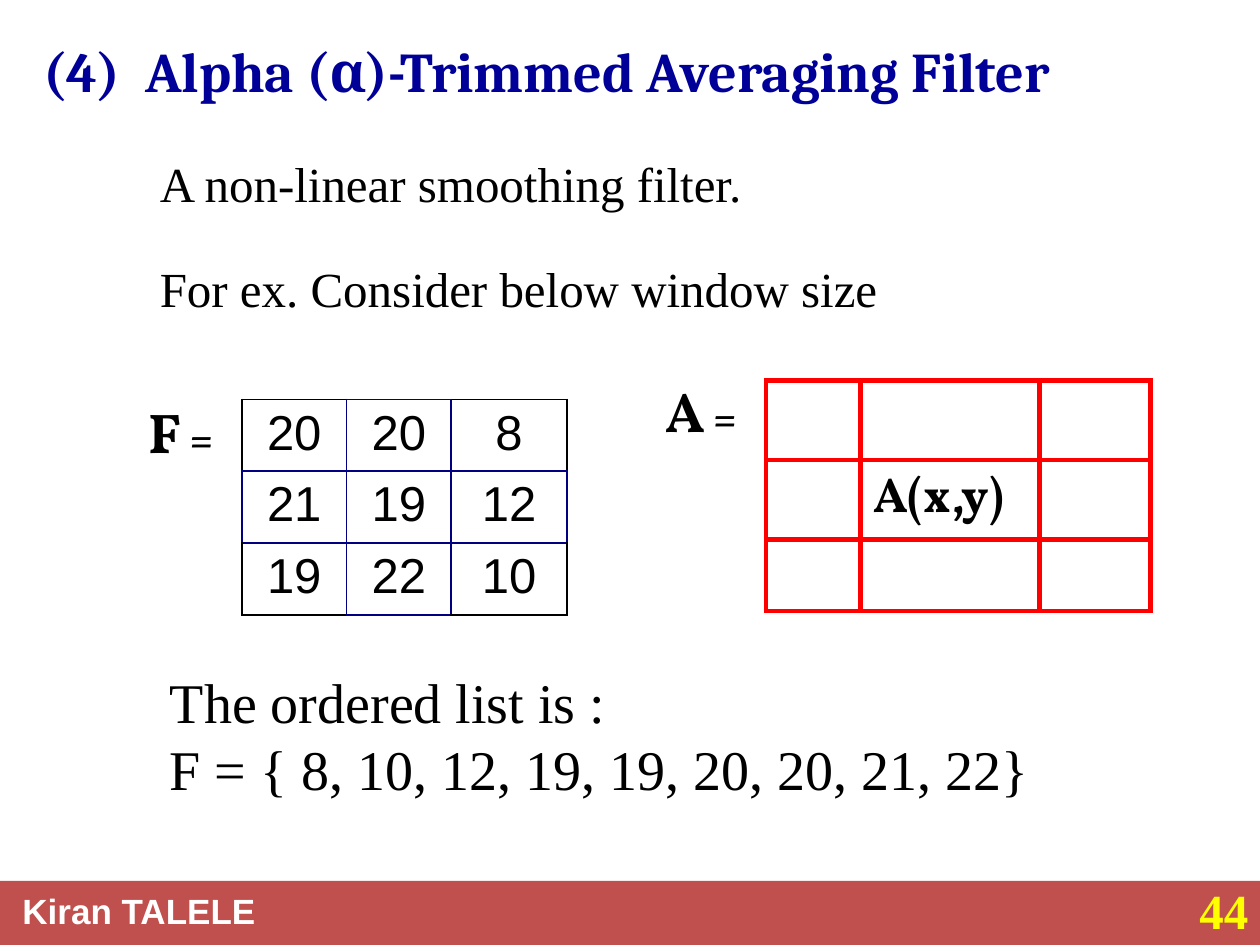
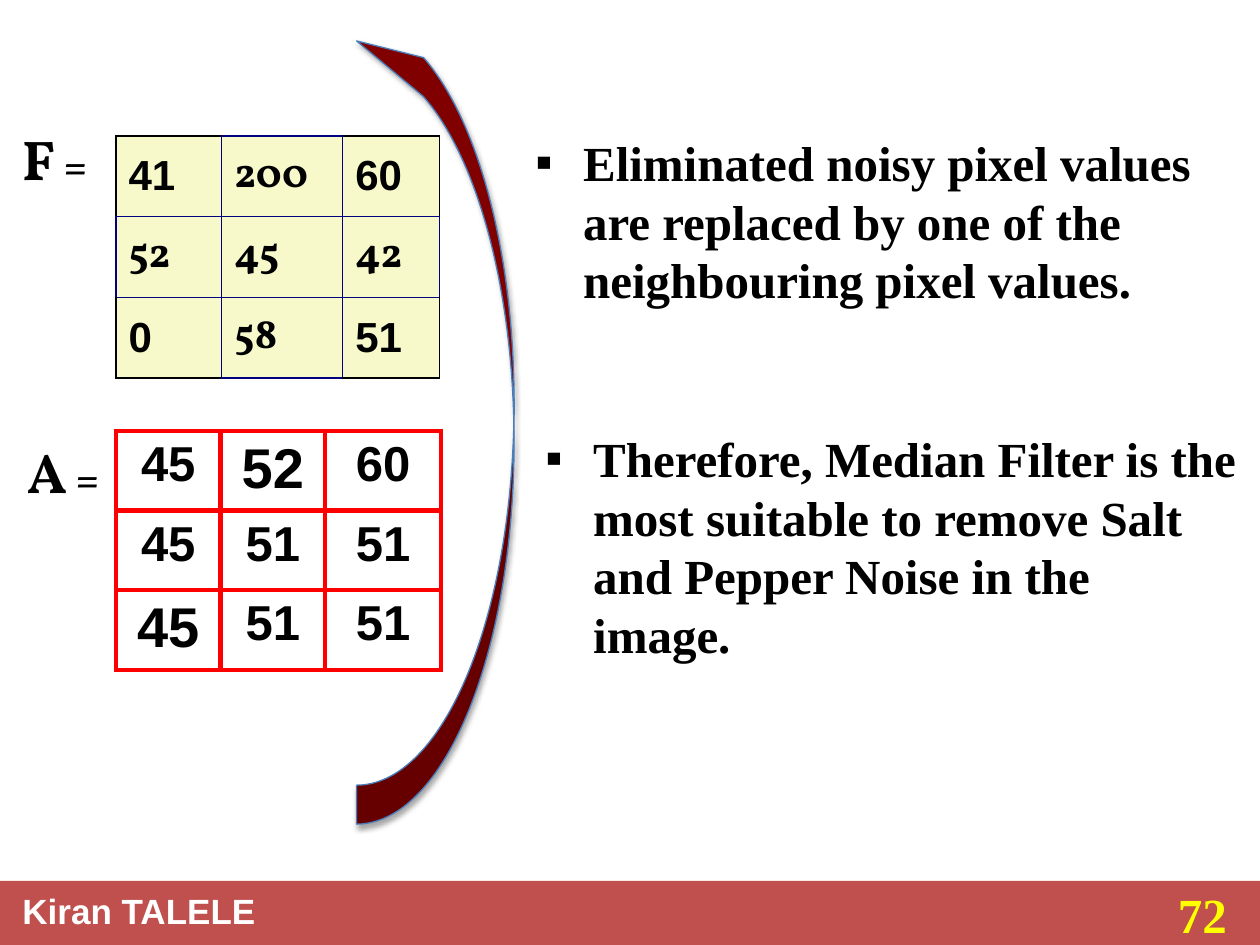
from dataclasses import dataclass
from typing import Optional

from lxml.etree import SubElement
from pptx import Presentation
from pptx.dml.color import RGBColor
from pptx.enum.shapes import MSO_SHAPE
from pptx.enum.text import MSO_ANCHOR, PP_ALIGN
from pptx.oxml.ns import qn
from pptx.util import Inches, Pt


@dataclass(frozen=True)
class Theme:
    black: str = "000000"
    white: str = "FFFFFF"
    band: str = "C0504D"
    page: str = "FFFF00"
    title: str = "000099"
    navy: str = "000080"
    red: str = "FF0000"
    cream: str = "F7F9CB"
    maroon: str = "800000"
    outline: str = "4A7DBA"
    sans: str = "Arial"
    serif: str = "Times New Roman"
    heading: str = "Cambria"
    symbol: str = "Vollkorn"
    large: int = 32
    body: int = 28
    small: int = 24
    footer: int = 20


THEME = Theme()


@dataclass(frozen=True)
class Style:
    face: str = THEME.serif
    size: int = THEME.body
    color: str = THEME.black
    bold: bool = False


@dataclass(frozen=True)
class Box:
    left: float
    top: float
    width: float
    height: float

    def emu(self) -> tuple:
        return tuple(Inches(v) for v in (self.left, self.top, self.width, self.height))


@dataclass(frozen=True)
class Matrix:
    left: float
    top: float
    columns: tuple
    rows: tuple
    values: tuple
    style: Style
    border: str
    border_width: int
    corner_border: Optional[str] = None
    corner_face: Optional[str] = None
    fill: Optional[str] = None
    align: PP_ALIGN = PP_ALIGN.LEFT
    anchor: MSO_ANCHOR = MSO_ANCHOR.TOP
    enlarged: tuple = ()


BODY = Style()
BOLD_BODY = Style(bold=True)
STATEMENT = Style(size=THEME.large)
TITLE = Style(THEME.heading, THEME.large, THEME.title, True)
AUTHOR = Style(THEME.sans, THEME.footer, THEME.white, True)
PAGE = Style(THEME.serif, THEME.body, THEME.page, True)
SYMBOL = Style(THEME.symbol, THEME.large, bold=True)


def rgb(value: str) -> RGBColor:
    return RGBColor.from_string(value)


def apply_style(font, style: Style) -> None:
    font.name = style.face
    font.size = Pt(style.size)
    font.bold = style.bold
    font.color.rgb = rgb(style.color)


def add_bullet(paragraph) -> None:
    properties = paragraph._p.get_or_add_pPr()
    properties.set("marL", str(Inches(0.38)))
    properties.set("indent", str(-Inches(0.38)))
    color = SubElement(properties, qn("a:buClr"))
    SubElement(color, qn("a:srgbClr"), val=THEME.black)
    SubElement(properties, qn("a:buFont"), typeface=THEME.sans)
    SubElement(properties, qn("a:buChar"), char="▪")


def add_text(slide, box: Box, lines: tuple, style: Style,
             bullet: bool = False, anchor: MSO_ANCHOR = MSO_ANCHOR.TOP):
    frame = slide.shapes.add_textbox(*box.emu()).text_frame
    frame.word_wrap = True
    frame.vertical_anchor = anchor
    for index, line in enumerate(lines):
        paragraph = frame.add_paragraph() if index else frame.paragraphs[0]
        paragraph.text = line
        if bullet:
            add_bullet(paragraph)
        apply_style(paragraph.font, style)
    return frame


def add_symbol(slide, letter: str, left: float, top: float) -> None:
    frame = add_text(slide, Box(left, top, 0.87, 0.64), (letter,), SYMBOL)
    equals = frame.paragraphs[0].add_run()
    equals.text = " ="
    equals.font.size = Pt(THEME.small)


def add_footer(slide, page: str, left: float, top: float) -> None:
    band = slide.shapes.add_shape(MSO_SHAPE.RECTANGLE, *Box(0, 6.99, 10, 0.51).emu())
    band.shadow.inherit = False
    band.fill.solid()
    band.fill.fore_color.rgb = rgb(THEME.band)
    band.line.fill.background()
    add_text(slide, Box(0.08, 7.01, 2.1, 0.44), ("Kiran TALELE",), AUTHOR)
    add_text(slide, Box(left, top, 0.92, 0.61), (page,), PAGE)


def set_borders(cell, colors: dict, width: int) -> None:
    properties = cell._tc.get_or_add_tcPr()
    for side, color in colors.items():
        line = SubElement(properties, qn(f"a:ln{side}"), w=str(Pt(width)))
        solid = SubElement(line, qn("a:solidFill"))
        SubElement(solid, qn("a:srgbClr"), val=color)


def add_matrix(slide, matrix: Matrix) -> None:
    box = Box(matrix.left, matrix.top, sum(matrix.columns), sum(matrix.rows))
    last_row, last_column = len(matrix.rows) - 1, len(matrix.columns) - 1
    table = slide.shapes.add_table(last_row + 1, last_column + 1, *box.emu()).table
    table.first_row = table.horz_banding = False
    for column, width in zip(table.columns, matrix.columns):
        column.width = Inches(width)
    for row, height in zip(table.rows, matrix.rows):
        row.height = Inches(height)
    for r, values in enumerate(matrix.values):
        for c, value in enumerate(values):
            cell = table.cell(r, c)
            corner = r in (0, last_row) and c in (0, last_column)
            outer = {"L": c == 0, "R": c == last_column, "T": r == 0, "B": r == last_row}
            colors = {side: matrix.corner_border if corner and edge and matrix.corner_border
                      else matrix.border for side, edge in outer.items()}
            set_borders(cell, colors, matrix.border_width)
            if matrix.fill:
                cell.fill.solid()
                cell.fill.fore_color.rgb = rgb(matrix.fill)
            else:
                cell.fill.background()
            cell.vertical_anchor = matrix.anchor
            cell.text = value
            paragraph = cell.text_frame.paragraphs[0]
            paragraph.alignment = matrix.align
            apply_style(paragraph.font, matrix.style)
            if corner and matrix.corner_face:
                paragraph.font.name = matrix.corner_face
            if (r, c) in matrix.enlarged:
                paragraph.font.size = Pt(THEME.large)


def add_curved_arrow(slide, box: Box) -> None:
    arrow = slide.shapes.add_shape(MSO_SHAPE.CURVED_RIGHT_ARROW, *box.emu())
    arrow.rotation = 180
    for index, value in enumerate((0.25, 0.247, 0.425)):
        arrow.adjustments[index] = value
    arrow.fill.solid()
    arrow.fill.fore_color.rgb = rgb(THEME.maroon)
    arrow.line.color.rgb = rgb(THEME.outline)
    arrow.line.width = Pt(0.75)
    arrow.shadow.inherit = False
    effects = arrow._element.spPr.find(qn("a:effectLst"))
    shadow = SubElement(effects, qn("a:outerShdw"), blurRad=str(Pt(3.1)),
                        dist=str(Pt(1.8)), dir="5400000", rotWithShape="0")
    color = SubElement(shadow, qn("a:srgbClr"), val=THEME.black)
    SubElement(color, qn("a:alpha"), val="35000")


def build_trimmed_filter(slide) -> None:
    add_footer(slide, "44", 9.42, 6.94)
    add_text(slide, Box(0.25, 0.17, 9, 0.78), ("(4)  Alpha (α)-Trimmed Averaging Filter",),
             TITLE, anchor=MSO_ANCHOR.MIDDLE)
    add_text(slide, Box(1.17, 1.17, 8.25, 0.57), ("A non-linear smoothing filter.",), BODY)
    add_text(slide, Box(1.17, 2, 6.17, 1.04), ("For ex. Consider below window size",), BODY)
    add_matrix(slide, Matrix(
        1.92, 3.17, (0.83, 0.83, 0.92), (0.57,) * 3,
        (("20", "20", "8"), ("21", "19", "12"), ("19", "22", "10")),
        Style(THEME.sans), THEME.navy, 1, corner_border=THEME.black,
        align=PP_ALIGN.CENTER))
    add_text(slide, Box(1.25, 5.25, 7.83, 1.18),
             ("The ordered list is :", "F = { 8, 10, 12, 19, 19, 20, 20, 21, 22}"), STATEMENT)
    add_symbol(slide, "F", 1.08, 3.11)
    add_symbol(slide, "A", 5.18, 2.94)
    add_matrix(slide, Matrix(
        6.08, 3.02, (0.75, 1.42, 0.88), (0.63, 0.63, 0.57),
        (("", "", ""), ("", "A(x,y)", ""), ("", "", "")),
        Style(THEME.symbol, bold=True), THEME.red, 3))


def build_median_result(slide) -> None:
    add_footer(slide, "72", 9.25, 6.97)
    add_symbol(slide, "F", 0.08, 0.94)
    add_text(slide, Box(4.15, 1, 5.68, 1.51),
             ("Eliminated noisy pixel values are replaced by one of the "
              "neighbouring pixel values.",), BOLD_BODY, bullet=True)
    add_text(slide, Box(4.23, 3.35, 5.68, 1.99),
             ("Therefore, Median Filter is the most suitable to remove Salt "
              "and Pepper Noise in the image.",), BOLD_BODY, bullet=True)
    add_curved_arrow(slide, Box(2.83, 0.17, 1.25, 6.37))
    add_matrix(slide, Matrix(
        0.92, 1.08, (0.84, 0.96, 0.77), (0.64,) * 3,
        (("41", "200", "60"), ("52", "45", "42"), ("0", "58", "51")),
        Style(THEME.symbol, THEME.small, bold=True), THEME.navy, 1,
        corner_border=THEME.black, corner_face=THEME.sans, fill=THEME.cream,
        anchor=MSO_ANCHOR.MIDDLE))
    add_matrix(slide, Matrix(
        0.92, 3.42, (0.83, 0.83, 0.92), (0.63,) * 3,
        (("45", "52", "60"), ("45", "51", "51"), ("45", "51", "51")),
        Style(THEME.sans, bold=True), THEME.red, 3,
        align=PP_ALIGN.CENTER, enlarged=((0, 1), (2, 0))))
    add_symbol(slide, "A", 0.12, 3.42)


def main() -> None:
    deck = Presentation()
    deck.slide_width = Inches(10)
    deck.slide_height = Inches(7.5)
    for build in (build_trimmed_filter, build_median_result):
        build(deck.slides.add_slide(deck.slide_layouts[6]))
    deck.save("out.pptx")


if __name__ == "__main__":
    main()
